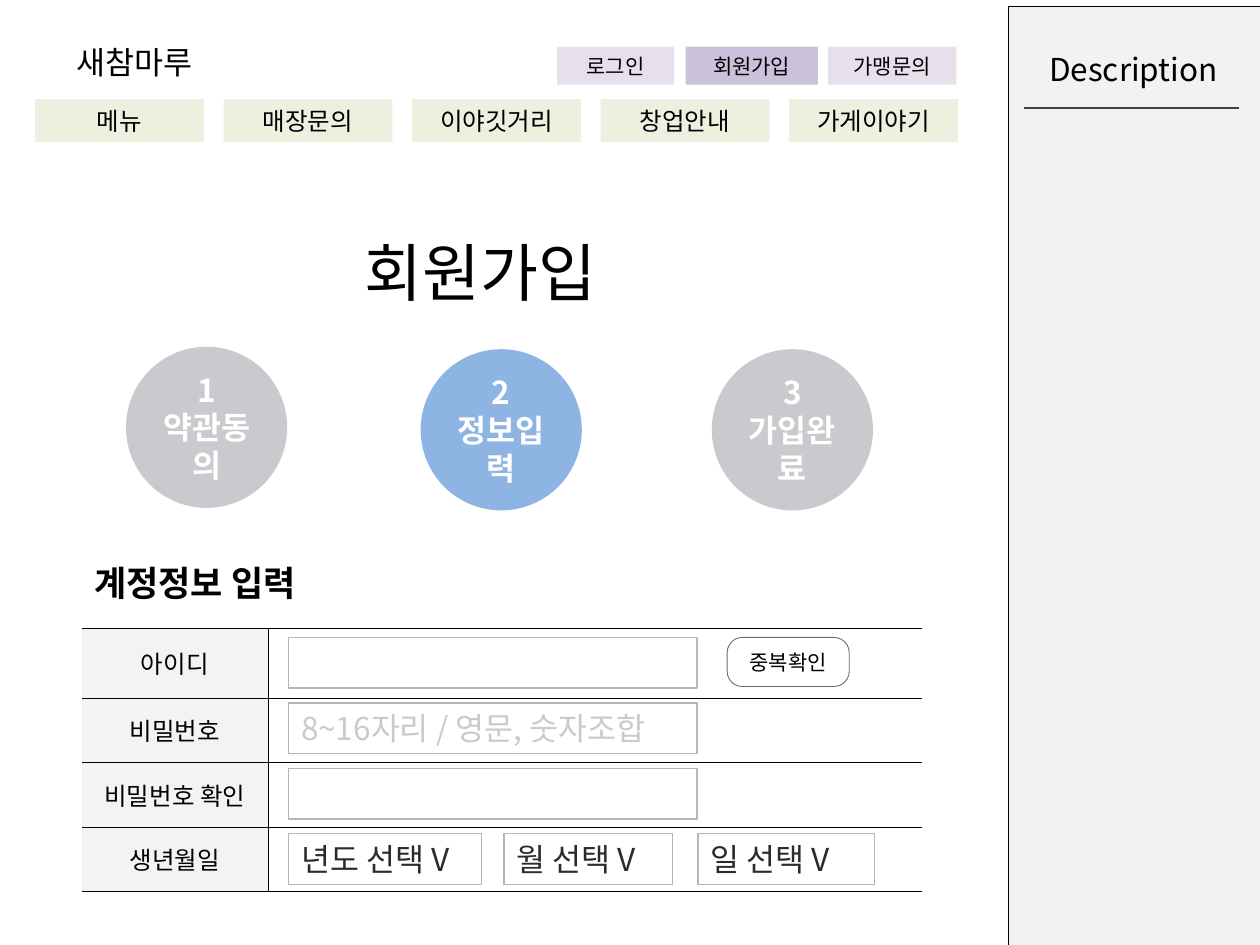
from lxml.etree import SubElement
from pptx import Presentation
from pptx.dml.color import RGBColor
from pptx.enum.shapes import MSO_CONNECTOR, MSO_SHAPE
from pptx.enum.text import MSO_ANCHOR, MSO_AUTO_SIZE, PP_ALIGN
from pptx.oxml.ns import qn
from pptx.util import Cm, Pt

FONT = "Noto Sans CJK KR"
color = RGBColor.from_string


def write(frame, lines, size, ink="000000", bold=False, align=PP_ALIGN.CENTER):
    frame.word_wrap = True
    frame.vertical_anchor = MSO_ANCHOR.MIDDLE
    for index, line in enumerate(lines):
        para = frame.add_paragraph() if index else frame.paragraphs[0]
        para.alignment = align
        span = para.add_run()
        span.text = line
        span.font.name = FONT
        span.font.size = Pt(size)
        span.font.bold = bold
        span.font.color.rgb = color(ink)
        SubElement(span.font._element, qn("a:ea"), typeface=FONT)


def add_box(shapes, kind, left, top, width, height, fill=None, line=None, weight=0):
    box = shapes.add_shape(kind, Cm(left), Cm(top), Cm(width), Cm(height))
    box.shadow.inherit = False
    if fill:
        box.fill.solid()
        box.fill.fore_color.rgb = color(fill)
    else:
        box.fill.background()
    if line:
        box.line.color.rgb = color(line)
        box.line.width = Pt(weight)
    else:
        box.line.fill.background()
    return box


deck = Presentation()
deck.slide_width, deck.slide_height = Cm(25.4), Cm(19.05)
page = deck.slides.add_slide(deck.slide_layouts[5])
shapes = page.shapes

panel = shapes.add_group_shape().shapes
add_box(panel, MSO_SHAPE.RECTANGLE, 20.32, 0.13, 5.13, 18.92, "F2F2F2", "000000", 0.25)
heading = panel.add_textbox(Cm(20.9), Cm(0.89), Cm(4.09), Cm(1.02))
write(heading.text_frame, ["Description"], 18, align=PP_ALIGN.LEFT)
rule = panel.add_connector(MSO_CONNECTOR.STRAIGHT, Cm(20.65), Cm(2.18), Cm(24.97), Cm(2.18))
rule.line.color.rgb = color("404040")
rule.line.width = Pt(0.75)
SubElement(rule._element.spPr, qn("a:effectLst"))

for label, left, width, fill in [
    ("로그인", 11.23, 2.36, "E6E0EC"),
    ("회원가입", 13.82, 2.67, "CCC1DA"),
    ("가맹문의", 16.69, 2.59, "E6E0EC"),
]:
    button = add_box(shapes, MSO_SHAPE.RECTANGLE, left, 0.94, width, 0.77, fill)
    write(button.text_frame, [label], 12)

for index, label in enumerate(["메뉴", "매장문의", "이야깃거리", "창업안내", "가게이야기"]):
    tab = add_box(shapes, MSO_SHAPE.RECTANGLE, 0.71 + 3.8 * index, 2, 3.4, 0.86, "EBF1DE")
    write(tab.text_frame, [label], 14)

brand = shapes.add_textbox(Cm(1.3), Cm(0.74), Cm(4.19), Cm(1.02))
write(brand.text_frame, ["새참마루"], 18, align=PP_ALIGN.LEFT)

title = shapes.title
title.left, title.top, title.width, title.height = Cm(7.09), Cm(4.57), Cm(5.84), Cm(1.8)
title.text_frame.auto_size = MSO_AUTO_SIZE.NONE
write(title.text_frame, ["회원가입"], 36, align=PP_ALIGN.LEFT)

for number, label, left, top, fill in [
    ("1", "약관동의", 2.54, 6.99, "C9CACD"),
    ("2", "정보입력", 8.48, 7.04, "8EB4E3"),
    ("3", "가입완료", 14.35, 7.04, "C9CACD"),
]:
    step = add_box(shapes, MSO_SHAPE.OVAL, left, top, 3.25, 3.25, fill)
    write(step.text_frame, [number, label], 18, "FFFFFF", True)

section = shapes.add_textbox(Cm(1.65), Cm(11.18), Cm(5.26), Cm(1.12))
write(section.text_frame, ["계정정보 입력"], 20, bold=True, align=PP_ALIGN.LEFT)

labels = ["아이디", "비밀번호", "비밀번호 확인", "생년월일"]
form = shapes.add_table(4, 2, Cm(1.65), Cm(12.67), Cm(16.94), Cm(5.3)).table
form.first_row = form.horz_banding = False
form.columns[0].width, form.columns[1].width = Cm(3.75), Cm(13.19)
for index, label in enumerate(labels):
    form.rows[index].height = Cm(1.3 if index else 1.4)
    for column, edges in enumerate(["RTB", "LTB"]):
        cell = form.cell(index, column)
        properties = cell._tc.get_or_add_tcPr()
        for side in "LRTB":
            border = SubElement(properties, qn("a:ln" + side), w=str(Pt(0.25)))
            if side in edges:
                paint = SubElement(border, qn("a:solidFill"))
                SubElement(paint, qn("a:srgbClr"), val="000000")
            else:
                SubElement(border, qn("a:noFill"))
        if column:
            cell.fill.background()
        else:
            cell.fill.solid()
            cell.fill.fore_color.rgb = color("F3F3F4")
            write(cell.text_frame, [label], 14)
            cell.vertical_anchor = MSO_ANCHOR.MIDDLE

for row, left, width, hint, ink in [
    (0, 5.82, 8.23, "", ""),
    (1, 5.82, 8.23, "8~16자리 / 영문, 숫자조합", "C9CACD"),
    (2, 5.82, 8.23, "", ""),
    (3, 5.82, 3.89, "년도 선택 V", "2B2B2B"),
    (3, 10.16, 3.4, "월 선택 V", "2B2B2B"),
    (3, 14.07, 3.56, "일 선택 V", "2B2B2B"),
]:
    field = add_box(shapes, MSO_SHAPE.RECTANGLE, left, 12.85 + 1.32 * row, width, 1.02, line="B6B6B6")
    if hint:
        field.text_frame.margin_right = 0
        write(field.text_frame, [hint], 18, ink, align=PP_ALIGN.LEFT)

check = add_box(shapes, MSO_SHAPE.ROUNDED_RECTANGLE, 14.66, 12.85, 2.46, 0.99, "FFFFFF", "696B71", 0.5)
check.adjustments[0] = 0.31
write(check.text_frame, ["중복확인"], 12)

deck.save("out.pptx")
